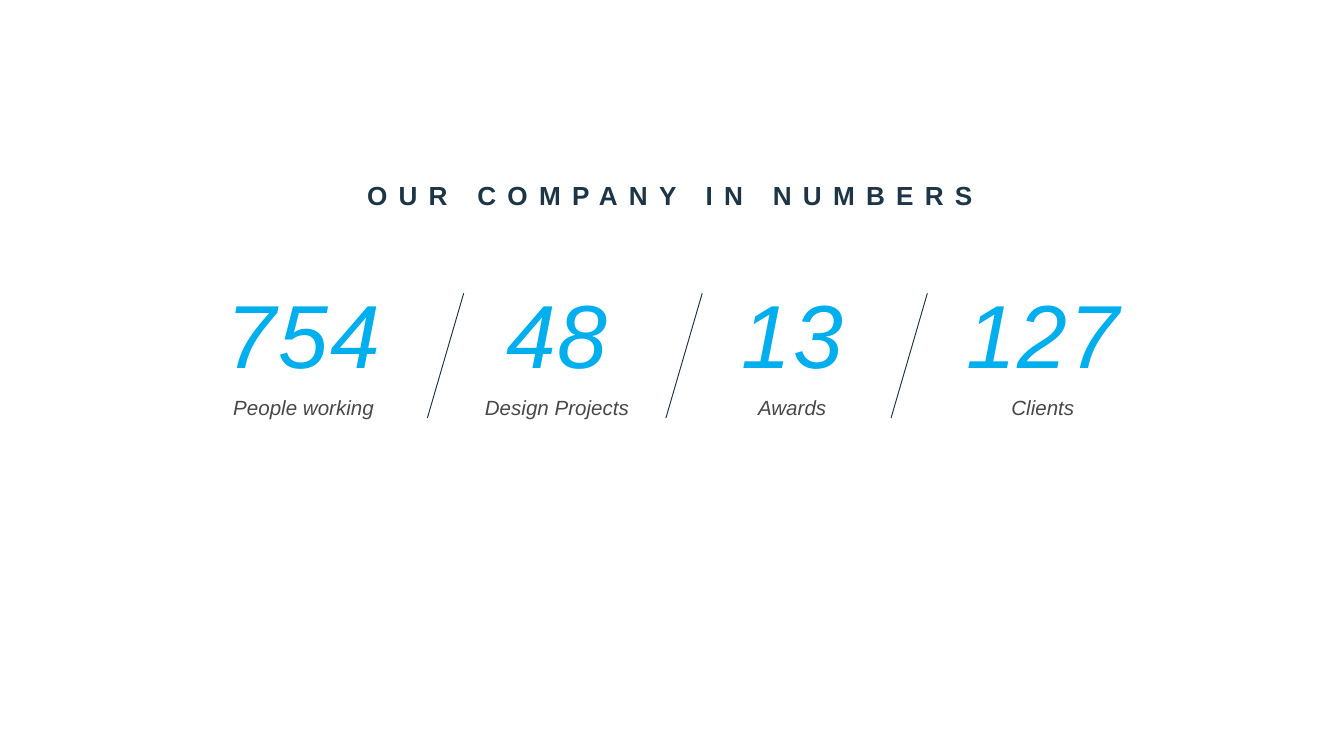
"""Build the slide that sums up the company in four numbers."""
from dataclasses import dataclass

from lxml.etree import SubElement
from pptx import Presentation
from pptx.dml.color import RGBColor
from pptx.enum.shapes import MSO_CONNECTOR
from pptx.enum.text import MSO_ANCHOR, MSO_AUTO_SIZE, PP_ALIGN
from pptx.oxml.ns import qn
from pptx.util import Inches, Pt

NAVY = RGBColor(0x1D, 0x36, 0x47)
BLUE = RGBColor(0x01, 0xAE, 0xEE)
GREY = RGBColor(0x48, 0x48, 0x48)
WIDE = Inches(10)
HIGH = WIDE * 9 // 16
SPAN, LEAN = 16.6, 2.7


@dataclass(frozen=True)
class Row:
    top: float
    height: float


@dataclass(frozen=True)
class Style:
    size: float
    color: RGBColor
    bold: bool = False
    italic: bool = False
    gap: float = 0


@dataclass(frozen=True)
class Stat:
    left: float
    count: str
    label: str


HEAD = Row(22.85, 6)
COUNT = Row(36, 16.2)
LABEL = Row(51.4, 5.15)
SLASH = Row(38.8, 16.5)
TITLE = Style(14, NAVY, bold=True, gap=6)
FIGURE = Style(48, BLUE, italic=True, gap=1.1)
NOTE = Style(11, GREY, italic=True)
STATS = (
    Stat(14.3, "754", "People working"),
    Stat(33.15, "48", "Design Projects"),
    Stat(50.65, "13", "Awards"),
    Stat(69.3, "127", "Clients"),
)
BARS = (31.8, 49.55, 66.3)


def across(share: float) -> int:
    """Turn a percentage of the slide width into a length."""
    return round(WIDE * share / 100)


def down(share: float) -> int:
    """Turn a percentage of the slide height into a length."""
    return round(HIGH * share / 100)


def write(shape, text: str, style: Style, wrap: bool = True) -> None:
    """Fill a shape with one centred, styled line."""
    frame = shape.text_frame
    frame.text = text
    frame.word_wrap = wrap
    frame.auto_size = MSO_AUTO_SIZE.SHAPE_TO_FIT_TEXT
    frame.vertical_anchor = MSO_ANCHOR.TOP
    line = frame.paragraphs[0]
    line.alignment = PP_ALIGN.CENTER
    font = line.font
    font.name, font.size = "Arial", Pt(style.size)
    font.bold, font.italic = style.bold, style.italic
    font.color.rgb = style.color
    if style.gap:
        props = line.runs[0]._r.get_or_add_rPr()
        props.set("spc", str(round(style.gap * 100)))


def label(slide, left: float, row: Row, text: str, style: Style) -> None:
    """Add a text box in one column and row."""
    box = slide.shapes.add_textbox(
        across(left), down(row.top), across(SPAN), down(row.height))
    write(box, text, style)


def slash(slide, foot: float) -> None:
    """Draw a leaning line between two stats."""
    line = slide.shapes.add_connector(
        MSO_CONNECTOR.STRAIGHT, across(foot + LEAN), down(SLASH.top),
        across(foot), down(SLASH.top + SLASH.height))
    line.line.color.rgb = NAVY
    line.line.width = Pt(0.5)
    SubElement(line._element.spPr, qn("a:effectLst"))


def main() -> None:
    """Build and save the slide."""
    deck = Presentation()
    deck.slide_width, deck.slide_height = WIDE, HIGH
    slide = deck.slides.add_slide(deck.slide_layouts[5])
    title = slide.shapes.title
    title.left, title.top = across(24.05), down(HEAD.top)
    title.width, title.height = across(51.6), down(HEAD.height)
    write(title, "OUR COMPANY IN NUMBERS", TITLE, wrap=False)
    for stat in STATS:
        label(slide, stat.left, COUNT, stat.count, FIGURE)
        label(slide, stat.left, LABEL, stat.label, NOTE)
    for foot in BARS:
        slash(slide, foot)
    deck.save("out.pptx")


if __name__ == "__main__":
    main()
